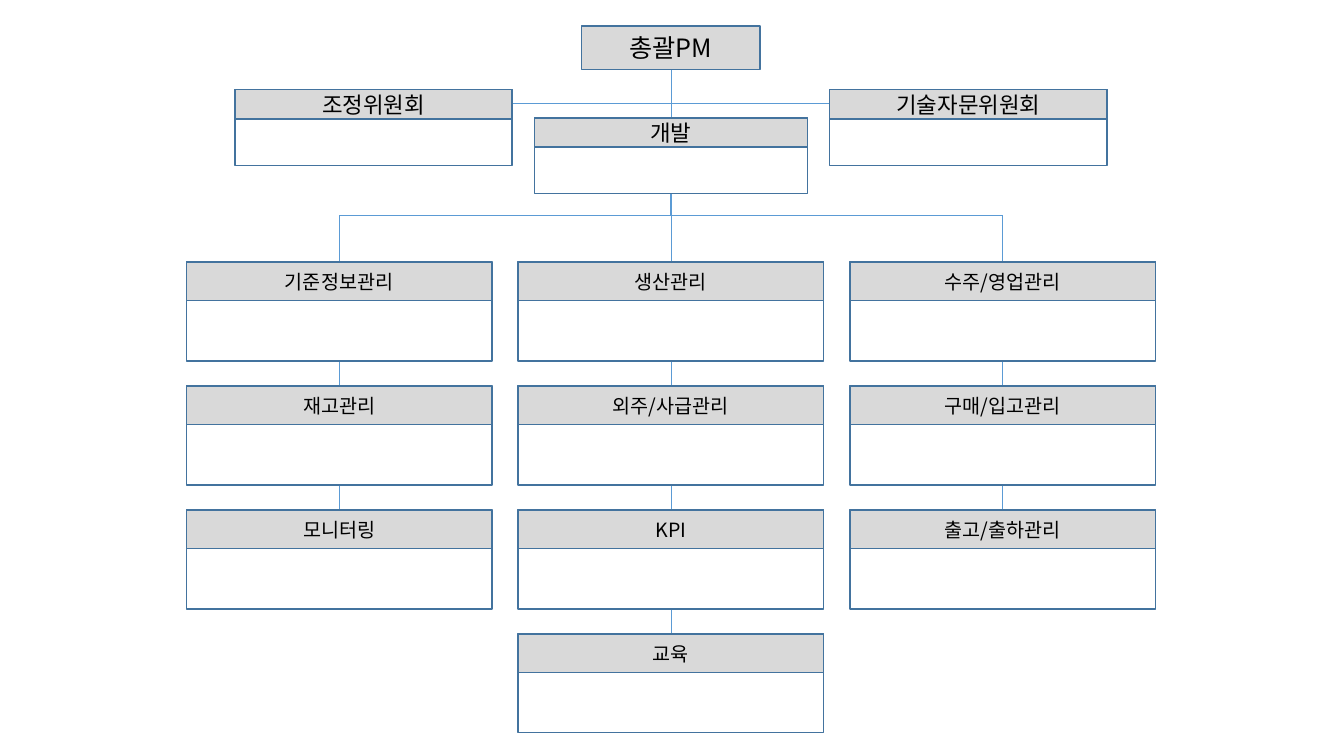
from pptx import Presentation
from pptx.dml.color import RGBColor
from pptx.enum.shapes import MSO_CONNECTOR as Link, MSO_SHAPE as Form
from pptx.enum.text import MSO_ANCHOR as Anchor, PP_ALIGN as Align
from pptx.oxml.ns import qn
from pptx.util import Inches, Pt
from lxml.etree import SubElement

WIDE, HIGH = 13.33, 7.5
MID, STEP = 49.92, 24.68          # centre axis and column pitch, % of width
TOP, PITCH = 34.67, 16.4          # first team row and row pitch, % of height
FORK = 28.53                      # height where the branches part


def hue(code):
    """Turn a hex string into a colour."""
    return RGBColor.from_string(code)


def col(num):
    """Centre of a team column, counted from the middle axis."""
    return MID + num * STEP


def row(num):
    """Top of a team row."""
    return TOP + num * PITCH


class Chart:
    """Holds the style and the slide; lengths are percent of its size."""

    font = "Noto Sans CJK KR"
    ink, edge, wire = "000000", "43739E", "5B9BD5"
    head, body = "D9D9D9", "FFFFFF"

    def __init__(self, slide):
        """Keep the slide to draw on."""
        self.slide = slide

    def spot(self, x, y):
        """Turn shares of the slide into lengths."""
        return Inches(x * WIDE / 100), Inches(y * HIGH / 100)

    def rect(self, home, mid, top, wide, high, fill):
        """Draw a framed box centred on mid."""
        box = home.add_shape(Form.RECTANGLE, *self.spot(mid - wide / 2, top),
                             *self.spot(wide, high))
        box.shadow.inherit = False
        box.fill.solid()
        box.fill.fore_color.rgb = hue(fill)
        box.line.color.rgb = hue(self.edge)
        box.line.width = Pt(1)
        return box

    def label(self, home, text, mid, top, wide, high, size):
        """Draw a grey box with centred text."""
        box = self.rect(home, mid, top, wide, high, self.head)
        frame = box.text_frame
        look = {"margin_top": 0, "margin_bottom": 0, "word_wrap": True,
                "vertical_anchor": Anchor.MIDDLE}
        for key, val in look.items():
            setattr(frame, key, val)
        para = frame.paragraphs[0]
        para.alignment = Align.CENTER
        run = para.add_run()
        run.text = text
        for key, val in {"name": self.font, "size": Pt(size)}.items():
            setattr(run.font, key, val)
        run.font.color.rgb = hue(self.ink)
        SubElement(run.font._element, qn("a:ea")).set("typeface", self.font)

    def card(self, text, mid, top, wide, high, cap, size):
        """Group a white box with its grey heading."""
        home = self.slide.shapes.add_group_shape().shapes
        self.rect(home, mid, top, wide, high, self.body)
        self.label(home, text, mid, top, wide, cap, size)

    def line(self, start, end, bent=False):
        """Link two points, straight or with one corner."""
        kind = Link.ELBOW if bent else Link.STRAIGHT
        link = self.slide.shapes.add_connector(
            kind, *self.spot(*start), *self.spot(*end))
        link.line.color.rgb = hue(self.wire)
        link.line.width = Pt(0.5)
        props = link._element.spPr
        if bent:
            props.find(qn("a:prstGeom")).set("prst", "bentConnector2")
        SubElement(props, qn("a:effectLst"))


deck = Presentation()
deck.slide_width, deck.slide_height = Inches(WIDE), Inches(HIGH)
chart = Chart(deck.slides.add_slide(deck.slide_layouts[6]))

# Lines behind the boxes
for side in (-1, 1):
    chart.line((col(side), FORK), (col(side), row(2)))
    chart.line((col(side), FORK), (MID, 25.6), bent=True)
chart.line((MID, 25.6), (MID, row(3)))
chart.line((MID, 9.2), (MID, 15.6))
chart.line((38.1, 13.73), (61.74, 13.73))

# Management
chart.label(chart.slide.shapes, "총괄PM", MID, 3.47, 13.28, 5.73, 18)
for name, shift, top, wide in (("조정위원회", -22.13, 11.87, 20.63),
                               ("기술자문위원회", 22.13, 11.87, 20.63),
                               ("개발", 0, 15.6, 20.33)):
    chart.card(name, MID + shift, top, wide, 10, 3.87, 16)

# Teams, column by column
teams = {-1: ("기준정보관리", "재고관리", "모니터링"),
         0: ("생산관리", "외주/사급관리", "KPI", "교육"),
         1: ("수주/영업관리", "구매/입고관리", "출고/출하관리")}
for num, names in teams.items():
    for rank, name in enumerate(names):
        chart.card(name, col(num), row(rank), 22.73, 13.07, 5.07, 14)

deck.save("out.pptx")
